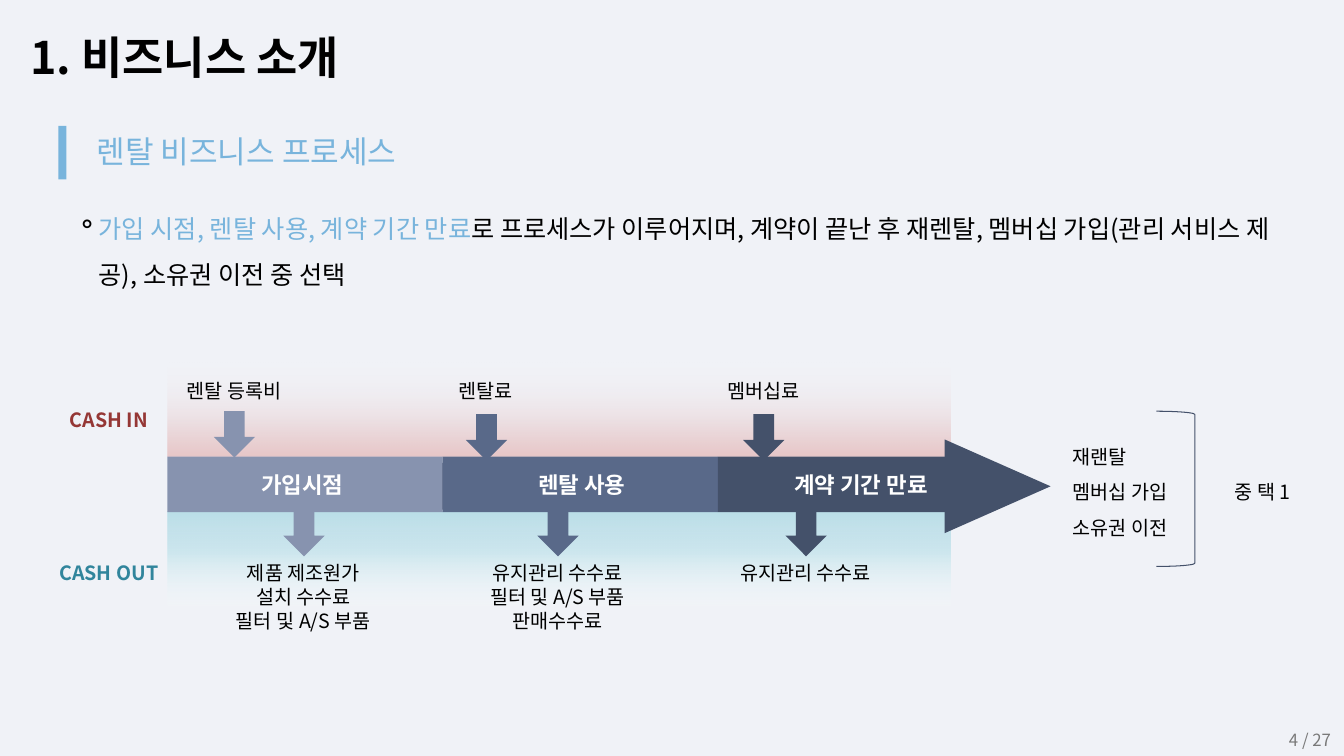
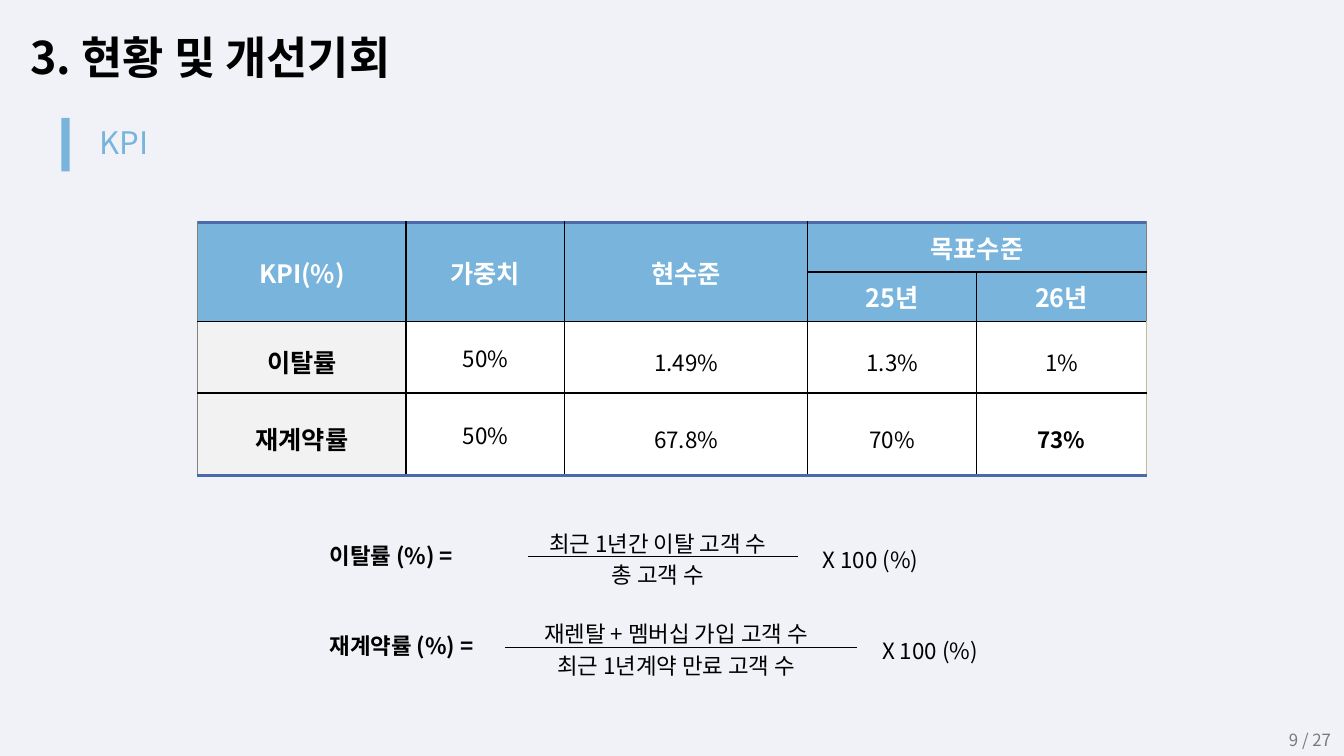
from dataclasses import dataclass

from lxml.etree import SubElement
from pptx import Presentation
from pptx.dml.color import RGBColor
from pptx.enum.shapes import MSO_CONNECTOR, MSO_SHAPE
from pptx.enum.text import MSO_ANCHOR, MSO_AUTO_SIZE, PP_ALIGN
from pptx.oxml.ns import qn
from pptx.util import Inches, Pt


@dataclass(frozen=True)
class Theme:
    font: str = "Noto Sans CJK KR"
    background: str = "F0F2F7"
    ink: str = "000000"
    white: str = "FFFFFF"
    accent: str = "78B4DC"
    muted: str = "797979"
    cash_in: str = "953735"
    cash_out: str = "31859C"
    phases: tuple = ("8793AF", "596989", "44516A")
    label_fill: str = "F2F2F2"
    table_rule: str = "4A6AAC"
    header_edge: str = "808080"
    body_edge: str = "C4BD97"
    title_size: float = 32
    heading_size: float = 22.2
    body_size: float = 18
    formula_size: float = 16
    label_size: float = 14
    footer_size: float = 12


THEME = Theme()
NO_STYLE_TABLE = "{2D5ABB26-0587-4C30-8999-92F81FD0307C}"
CASH_IN_STOPS = [(0, "FCF6F6", 0), (58, "E3B0AF", 24), (100, "E3B0AF", 66)]
CASH_OUT_STOPS = [(0, "AEDAE5", 82), (19, "AEDAE5", 66), (44, "C9E6EE", 86), (100, "F6FBFC", 22)]


def apply_format(target, values):
    for name, value in values.items():
        setattr(target, name, value)


def add_run(paragraph, text, size, color=THEME.ink, bold=False):
    run = paragraph.add_run()
    run.text = text
    apply_format(run.font, {"size": Pt(size), "bold": bold, "name": THEME.font})
    run.font.color.rgb = RGBColor.from_string(color)
    SubElement(run._r.get_or_add_rPr(), qn("a:ea"), typeface=THEME.font)


def fill_text(frame, lines, size, align=PP_ALIGN.LEFT, spacing=None, **style):
    for index, line in enumerate(lines):
        paragraph = frame.add_paragraph() if index else frame.paragraphs[0]
        apply_format(paragraph, {"alignment": align, "line_spacing": spacing})
        add_run(paragraph, line, size, **style)


def add_box(slide, left, top, width, height, inset=True, anchor=MSO_ANCHOR.TOP):
    box = slide.shapes.add_textbox(*map(Inches, (left, top, width, height)))
    frame = box.text_frame
    apply_format(frame, {"word_wrap": True, "vertical_anchor": anchor})
    if not inset:
        sides = ("margin_left", "margin_top", "margin_right", "margin_bottom")
        apply_format(frame, dict.fromkeys(sides, 0))
    return frame


def add_label(slide, center, top, width, lines, size=THEME.label_size, **style):
    frame = add_box(slide, center - width / 2, top, width, 0.34)
    fill_text(frame, lines, size, PP_ALIGN.CENTER, **style)


def add_block(slide, kind, left, top, width, height, color):
    shape = slide.shapes.add_shape(kind, *map(Inches, (left, top, width, height)))
    shape.shadow.inherit = False
    shape.line.fill.background()
    shape.fill.solid()
    shape.fill.fore_color.rgb = RGBColor.from_string(color)
    return shape


def add_gradient_band(slide, left, top, width, height, stops):
    band = add_block(slide, MSO_SHAPE.RECTANGLE, left, top, width, height, THEME.white)
    band.fill.gradient()
    band.fill.gradient_angle = 270
    stop_list = next(band._element.iter(qn("a:gsLst")))
    for stop in list(stop_list):
        stop_list.remove(stop)
    for position, color, opacity in stops:
        stop = SubElement(stop_list, qn("a:gs"), pos=str(position * 1000))
        paint = SubElement(stop, qn("a:srgbClr"), val=color)
        SubElement(paint, qn("a:alpha"), val=str(opacity * 1000))


def add_content_slide(presentation, title, page):
    slide = presentation.slides.add_slide(presentation.slide_layouts[5])
    placeholder = slide.shapes.title
    apply_format(placeholder, {
        "left": Inches(0.2), "top": Inches(0.11),
        "width": Inches(12), "height": Inches(0.73),
    })
    apply_format(placeholder.text_frame, {
        "vertical_anchor": MSO_ANCHOR.TOP,
        "auto_size": MSO_AUTO_SIZE.NONE, "word_wrap": True,
    })
    fill_text(placeholder.text_frame, [title], THEME.title_size, spacing=1.25, bold=True)
    footer = add_box(slide, 10.3, 7.09, 3, 0.49, anchor=MSO_ANCHOR.MIDDLE)
    fill_text(footer, [f"{page} / 27"], THEME.footer_size, PP_ALIGN.RIGHT, color=THEME.muted)
    return slide


def add_heading(slide, left, top, text):
    add_block(slide, MSO_SHAPE.RECTANGLE, left, top, 0.08, 0.53, THEME.accent)
    frame = add_box(slide, left + 0.38, top + 0.14, 4, 0.31, inset=False)
    fill_text(frame, [text], THEME.heading_size, spacing=Pt(20.8), color=THEME.accent)


def add_summary(slide, left, top, width, highlight, rest):
    paragraph = add_box(slide, left, top, width, 0.88, inset=False).paragraphs[0]
    paragraph.line_spacing = Pt(33.3)
    properties = paragraph._p.get_or_add_pPr()
    properties.set("marL", str(Inches(0.66)))
    properties.set("indent", str(Inches(-0.22)))
    bullet_color = SubElement(properties, qn("a:buClr"))
    SubElement(bullet_color, qn("a:srgbClr"), val=THEME.ink)
    SubElement(properties, qn("a:buChar"), char="⚬")
    add_run(paragraph, highlight, THEME.body_size, THEME.accent)
    add_run(paragraph, rest, THEME.body_size)


def add_process(slide, left, top, width):
    band_height, bar_height, step = 0.93, 0.55, 2.73
    bar_top = top + band_height
    bar_bottom = bar_top + bar_height
    out_text_top = bar_bottom + 0.44
    phases = [
        ("가입시점", 1.34, 0.66, "렌탈 등록비", 0.48, 1.35,
         ["제품 제조원가", "설치 수수료", "필터 및 A/S 부품"]),
        ("렌탈 사용", 1.38, 0.43, "렌탈료", 0.51, 1.14,
         ["유지관리 수수료", "필터 및 A/S 부품", "판매수수료"]),
        ("계약 기간 만료", 1.42, 0.45, "멤버십료", 0.51, 0.87,
         ["유지관리 수수료"]),
    ]
    add_gradient_band(slide, left, bar_bottom, width, band_height, CASH_OUT_STOPS)
    add_gradient_band(slide, left, top, width, band_height, CASH_IN_STOPS)
    arrow = add_block(slide, MSO_SHAPE.RIGHT_ARROW, left + 0.13, bar_top - 0.17,
                      8.63, 0.93, THEME.phases[-1])
    arrow.adjustments[1] = 1.13
    for index, (name, name_at, in_at, income, arrow_at, out_at, costs) in enumerate(phases):
        color = THEME.phases[index]
        start = left + index * step
        bar_width = 2.39 if index == len(phases) - 1 else step
        add_block(slide, MSO_SHAPE.RECTANGLE, start, bar_top, bar_width, bar_height, color)
        for center, arrow_top in ((start + in_at, top + arrow_at),
                                  (start + out_at, bar_bottom - 0.02)):
            add_block(slide, MSO_SHAPE.DOWN_ARROW, center - 0.2, arrow_top, 0.41, 0.46, color)
        add_label(slide, start + name_at, bar_top + 0.09, 1.8, [name],
                  THEME.formula_size, color=THEME.white, bold=True)
        add_label(slide, start + in_at, top + 0.11, 1.27, [income])
        add_label(slide, start + out_at, out_text_top, 1.57, costs)
    for caption, caption_top, color in (("CASH IN", top + 0.4, THEME.cash_in),
                                        ("CASH OUT", out_text_top, THEME.cash_out)):
        add_label(slide, left - 0.58, caption_top, 1.26, [caption], color=color, bold=True)


def add_choices(slide, left, top):
    options = add_box(slide, left, top + 0.17, 1.4, 1.13)
    fill_text(options, ["재랜탈", "멤버십 가입", "소유권 이전"], THEME.label_size, spacing=1.5)
    bracket = add_block(slide, MSO_SHAPE.RIGHT_BRACKET, left + 0.93, top, 0.38, 1.54, THEME.white)
    bracket.fill.background()
    bracket.line.color.rgb = RGBColor.from_string(THEME.phases[-1])
    bracket.line.width = Pt(0.75)
    note = add_box(slide, left + 1.61, top + 0.52, 1, 0.43)
    fill_text(note, ["중 택 1"], THEME.label_size, spacing=1.5)


def add_border(properties, side, color, width):
    line = SubElement(properties, qn(f"a:ln{side}"), w=str(Pt(width)))
    paint = SubElement(line, qn("a:solidFill"))
    SubElement(paint, qn("a:srgbClr"), val=color)


def add_cell_borders(cell, row, column, row_count, column_count):
    def vertical(edge):
        if edge in (0, column_count):
            body_right = edge and row > 1
            return (THEME.body_edge if body_right else THEME.header_edge), 0.5
        return THEME.ink, 1 if edge == column_count - 1 else 1.5

    def horizontal(edge):
        return (THEME.table_rule, 2.25) if edge in (0, row_count) else (THEME.ink, 1.5)

    right = column + (cell.span_width if cell.is_merge_origin else 1)
    bottom = row + (cell.span_height if cell.is_merge_origin else 1)
    properties = cell._tc.get_or_add_tcPr()
    for side, style in (("L", vertical(column)), ("R", vertical(right)),
                        ("T", horizontal(row)), ("B", horizontal(bottom))):
        add_border(properties, side, *style)


def add_kpi_table(slide, left, top):
    widths = [2.07, 1.57, 2.41, 1.68, 1.68]
    heights = [0.49, 0.49, 0.71, 0.82]
    rows = [
        ["KPI(%)", "가중치", "현수준", "목표수준", ""],
        ["", "", "", "25년", "26년"],
        ["이탈률", "50%", "1.49%", "1.3%", "1%"],
        ["재계약률", "50%", "67.8%", "70%", "73%"],
    ]
    frame = slide.shapes.add_table(len(rows), len(widths), *map(
        Inches, (left, top, sum(widths), sum(heights))))
    table = frame.table
    apply_format(table, {"first_row": False, "horz_banding": False})
    next(frame._element.iter(qn("a:tableStyleId"))).text = NO_STYLE_TABLE
    for column, width in zip(table.columns, widths):
        column.width = Inches(width)
    for row, height in zip(table.rows, heights):
        row.height = Inches(height)
    for column in range(3):
        table.cell(0, column).merge(table.cell(1, column))
    table.cell(0, 3).merge(table.cell(0, 4))
    for row, texts in enumerate(rows):
        for column, text in enumerate(texts):
            cell = table.cell(row, column)
            if cell.is_spanned:
                continue
            header, label = row < 2, column == 0
            add_cell_borders(cell, row, column, len(rows), len(widths))
            fill = THEME.accent if header else THEME.label_fill if label else THEME.white
            cell.fill.solid()
            cell.fill.fore_color.rgb = RGBColor.from_string(fill)
            apply_format(cell, {
                "vertical_anchor": MSO_ANCHOR.MIDDLE,
                "margin_left": Inches(0.08), "margin_right": Inches(0.08),
                "margin_top": Inches(0.04), "margin_bottom": Inches(0.04),
            })
            fill_text(cell.text_frame, [text],
                      THEME.body_size if header or label else THEME.formula_size,
                      PP_ALIGN.CENTER, None if header or column == 1 else 1.25,
                      color=THEME.white if header else THEME.ink,
                      bold=header or label or text == "73%")


def add_formula(slide, left, line_top, line_left, line_width, name, numerator, denominator):
    size, spacing = THEME.formula_size, 1.25
    label = add_box(slide, left, line_top - 0.26, 2, 0.42)
    fill_text(label, [f"{name} (%) ="], size, spacing=spacing, bold=True)
    center = line_left + line_width / 2 - 0.05
    for text, offset in ((numerator, -0.38), (denominator, -0.07)):
        add_label(slide, center, line_top + offset, line_width, [text], size, spacing=spacing)
    line_right = line_left + line_width
    line = slide.shapes.add_connector(MSO_CONNECTOR.STRAIGHT, *map(
        Inches, (line_left, line_top, line_right, line_top)))
    line.line.color.rgb = RGBColor.from_string(THEME.ink)
    line.line.width = Pt(0.75)
    SubElement(line._element.spPr, qn("a:effectLst"))
    factor = add_box(slide, line_right + 0.15, line_top - 0.22, 1.5, 0.42)
    fill_text(factor, ["X 100 (%)"], size, spacing=spacing)


def build_business_slide(presentation):
    slide = add_content_slide(presentation, "1. 비즈니스 소개", 4)
    add_heading(slide, 0.58, 1.25, "렌탈 비즈니스 프로세스")
    add_summary(slide, 0.32, 1.95, 12.5, "가입 시점, 렌탈 사용, 계약 기간 만료",
                "로 프로세스가 이루어지며, 계약이 끝난 후 재렌탈, "
                "멤버십 가입(관리 서비스 제공), 소유권 이전 중 선택")
    add_process(slide, 1.66, 3.6, 7.77)
    add_choices(slide, 10.54, 4.08)


def build_kpi_slide(presentation):
    slide = add_content_slide(presentation, "3. 현황 및 개선기회", 9)
    add_heading(slide, 0.61, 1.17, "KPI")
    add_kpi_table(slide, 1.96, 2.21)
    add_formula(slide, 3.17, 5.52, 5.24, 2.67, "이탈률",
                "최근 1년간 이탈 고객 수", "총 고객 수")
    add_formula(slide, 3.17, 6.42, 5.01, 3.49, "재계약률",
                "재렌탈 + 멤버십 가입 고객 수", "최근 1년계약 만료 고객 수")


def main():
    presentation = Presentation()
    apply_format(presentation, {"slide_width": Inches(13.33), "slide_height": Inches(7.5)})
    background = presentation.slide_master.background.fill
    background.solid()
    background.fore_color.rgb = RGBColor.from_string(THEME.background)
    build_business_slide(presentation)
    build_kpi_slide(presentation)
    presentation.save("out.pptx")


if __name__ == "__main__":
    main()
